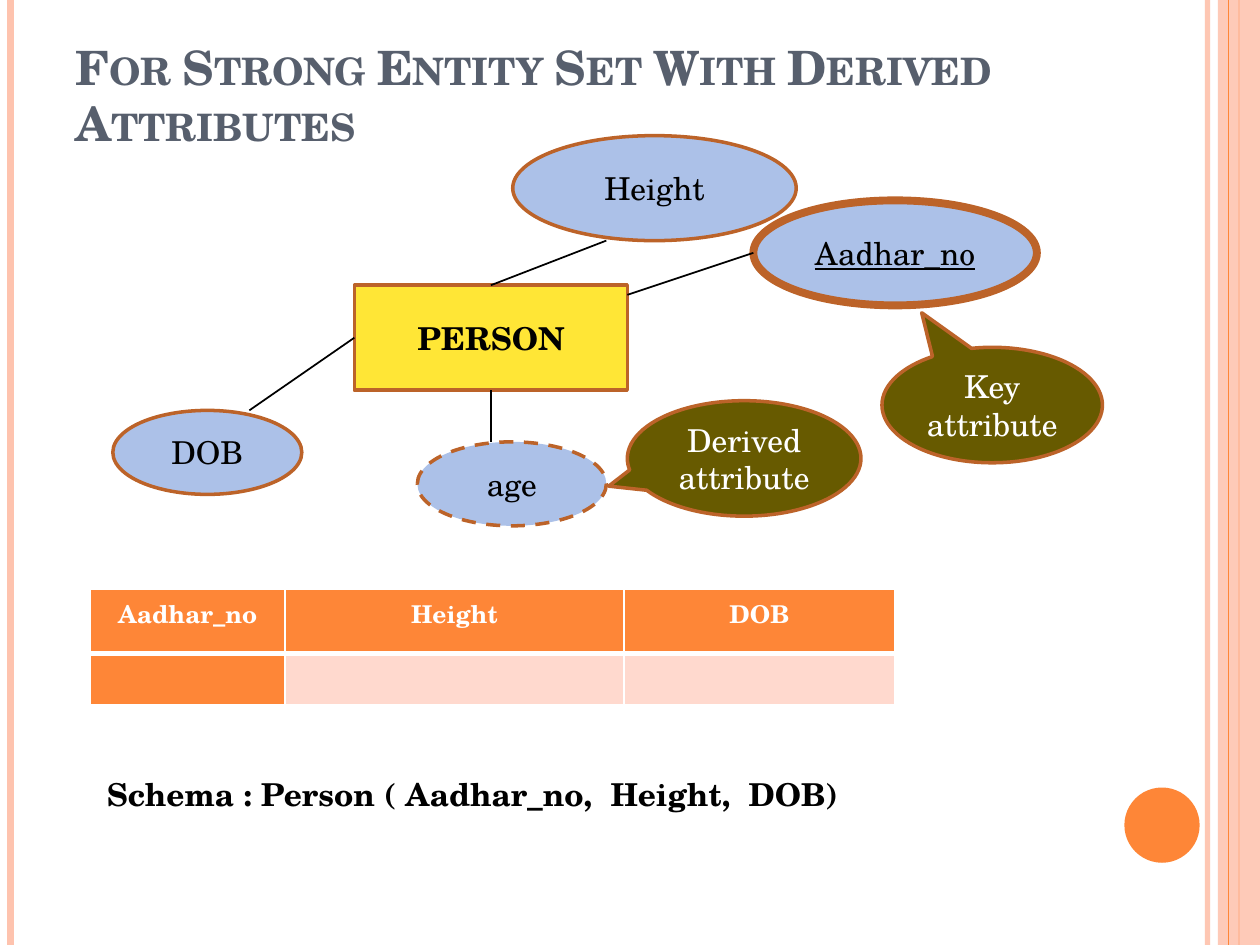
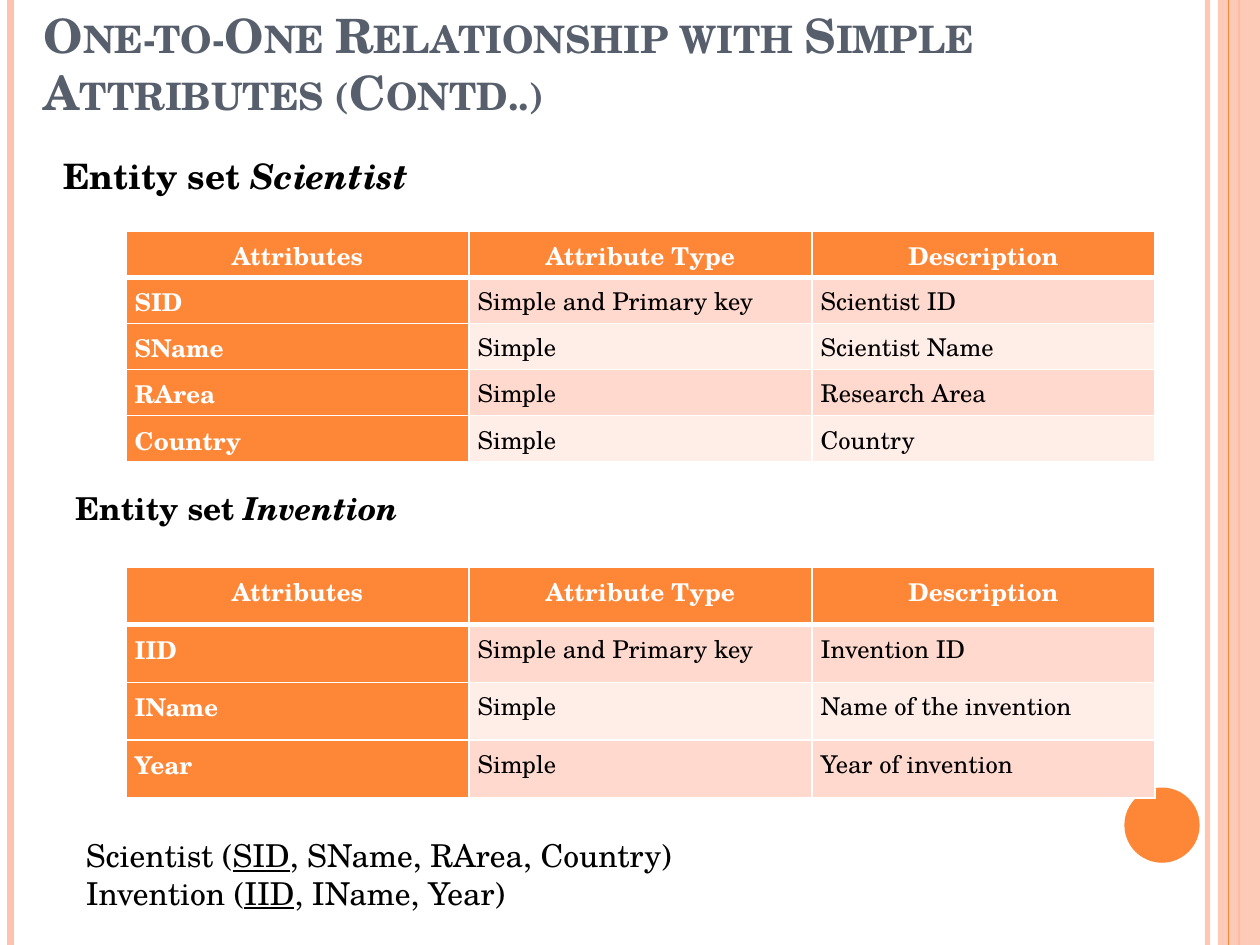
from dataclasses import dataclass

from pptx import Presentation
from pptx.dml.color import RGBColor
from pptx.enum.dml import MSO_LINE
from pptx.enum.shapes import MSO_CONNECTOR as CONN, MSO_SHAPE as SHAPE
from pptx.enum.text import MSO_ANCHOR as ANCHOR, MSO_AUTO_SIZE as AUTO, PP_ALIGN as ALIGN
from pptx.oxml.ns import qn
from pptx.util import Pt
from lxml.etree import SubElement


@dataclass(frozen=True)
class Theme:
    font: str = "TeX Gyre Schola"
    black: str = "000000"
    white: str = "FFFFFF"
    slate: str = "575F6D"
    orange: str = "FE8637"
    peach: str = "FEC3AE"
    band_dark: str = "FFD9CE"
    band_light: str = "FFEDE8"
    outline: str = "BC6329"
    yellow: str = "FFE636"
    blue: str = "ACC1E8"
    olive: str = "675A00"
    title: int = 27
    heading: int = 20
    body: int = 18
    cell: int = 14


THEME = Theme()


def rgb(color):
    return RGBColor.from_string(color)


def write(p, text, size=THEME.body, color=THEME.black, bold=False, italic=False,
          underline=False, small_caps=False):
    r = p.add_run()
    r.text = text
    f = r.font
    f.name, f.size, f.color.rgb = THEME.font, Pt(size), rgb(color)
    f.bold, f.italic, f.underline = bold, italic, underline
    if small_caps:
        r._r.get_or_add_rPr().set("cap", "small")


def set_alpha(element, percent):
    for clr in element.iter(qn("a:srgbClr")):
        SubElement(clr, qn("a:alpha")).set("val", str(percent * 1000))


def set_borders(cell, bottom):
    tcPr = cell._tc.get_or_add_tcPr()
    for side, width in (("L", 1), ("R", 1), ("T", 1), ("B", bottom)):
        ln = SubElement(tcPr, qn(f"a:ln{side}"), w=str(Pt(width)))
        fill = SubElement(ln, qn("a:solidFill"))
        SubElement(fill, qn("a:srgbClr"), val=THEME.white)


class Deck:
    def __init__(self, prs, theme):
        self.prs, self.theme, self.slide = prs, theme, None

    def new_slide(self, title, x, y, w):
        t = self.theme
        self.slide = self.prs.slides.add_slide(self.prs.slide_layouts[6])
        self.rail(690, t.peach, 3, alpha=93)
        self.rail(6, t.peach, 4.5)
        self.rail(708, t.orange, 1.5)
        band = self.shape(SHAPE.RECTANGLE, 696, 0, 24, 540, t.peach)
        set_alpha(band._element.spPr, 87)
        self.rail(702, t.orange, 0.75)
        self.shape(SHAPE.OVAL, 642.5, 450, 43, 43, t.orange)
        box = self.text([[(title, {})]], x, y, w, 68.5, grow=False, size=t.title,
                        color=t.slate, bold=True, small_caps=True)
        box.text_frame.vertical_anchor = ANCHOR.BOTTOM

    def rail(self, x, color, width, alpha=None):
        line = self.line((x, 0), (x, 540), color, width)
        if alpha:
            set_alpha(line._element.spPr, alpha)

    def line(self, start, end, color=THEME.black, width=1):
        c = self.slide.shapes.add_connector(CONN.STRAIGHT, *map(Pt, start + end))
        c.line.color.rgb, c.line.width = rgb(color), Pt(width)
        SubElement(c._element.spPr, qn("a:effectLst"))
        return c

    def shape(self, kind, x, y, w, h, fill, outline=None, width=2, dash=None,
              label=None, adjust=(), **fmt):
        sp = self.slide.shapes.add_shape(kind, Pt(x), Pt(y), Pt(w), Pt(h))
        sp.shadow.inherit = False
        sp.fill.solid()
        sp.fill.fore_color.rgb = rgb(fill)
        if outline:
            sp.line.color.rgb, sp.line.width = rgb(outline), Pt(width)
            if dash:
                sp.line.dash_style = dash
        else:
            sp.line.fill.background()
        for i, value in enumerate(adjust):
            sp.adjustments[i] = value
        if label:
            tf = sp.text_frame
            tf.word_wrap, tf.vertical_anchor = True, ANCHOR.MIDDLE
            p = tf.paragraphs[0]
            p.alignment = ALIGN.CENTER
            write(p, label, **fmt)
        return sp

    def attribute(self, label, x, y, w, h, **style):
        return self.shape(SHAPE.OVAL, x, y, w, h, self.theme.blue,
                          self.theme.outline, label=label, **style)

    def callout(self, label, x, y, w, h, adjust):
        t = self.theme
        return self.shape(SHAPE.OVAL_CALLOUT, x, y, w, h, t.olive, t.outline,
                          label=label, adjust=adjust, color=t.white)

    def text(self, paragraphs, x, y, w, h, wrap=True, grow=True, **fmt):
        box = self.slide.shapes.add_textbox(Pt(x), Pt(y), Pt(w), Pt(h))
        tf = box.text_frame
        tf.word_wrap = wrap
        tf.auto_size = AUTO.SHAPE_TO_FIT_TEXT if grow else AUTO.NONE
        for i, runs in enumerate(paragraphs):
            p = tf.add_paragraph() if i else tf.paragraphs[0]
            for text, extra in runs:
                write(p, text, **{**fmt, **extra})
        return box

    def table(self, rows, x, y, widths, heights, space_after=None):
        t = self.theme
        frame = self.slide.shapes.add_table(len(rows), len(widths), Pt(x), Pt(y),
                                            Pt(sum(widths)), Pt(sum(heights)))
        tbl = frame.table
        tbl.first_col, tbl.horz_banding = True, False
        for col, width in zip(tbl.columns, widths):
            col.width = Pt(width)
        for i, (row, height) in enumerate(zip(rows, heights)):
            tbl.rows[i].height = Pt(height)
            for j, text in enumerate(row):
                cell = tbl.cell(i, j)
                strong = i == 0 or j == 0
                band = t.band_dark if i % 2 else t.band_light
                cell.margin_left = cell.margin_right = Pt(5)
                cell.margin_top = cell.margin_bottom = 0
                set_borders(cell, 1 if i else 3)
                cell.fill.solid()
                cell.fill.fore_color.rgb = rgb(t.orange if strong else band)
                p = cell.text_frame.paragraphs[0]
                p.alignment = ALIGN.JUSTIFY if i else ALIGN.CENTER
                p.line_spacing = 1.15
                if space_after:
                    p.space_after = Pt(space_after)
                if text:
                    write(p, text, size=t.cell, bold=strong,
                          color=t.white if strong else t.black)


def derived_attributes(deck):
    t = deck.theme
    deck.new_slide("For Strong Entity Set With Derived Attributes", 36, 21.5, 588)
    person = deck.shape(SHAPE.RECTANGLE, 202.5, 163, 156, 60, t.yellow, t.outline,
                        label="PERSON", bold=True)
    deck.attribute("Height", 293, 77.5, 162, 60)
    deck.line((346.5, 137.5), (280.5, 163)).end_connect(person, 0)
    deck.attribute("DOB", 64.5, 234.5, 108, 48)
    deck.attribute("age", 238.5, 252.5, 108, 48, dash=MSO_LINE.DASH)
    deck.line((202.5, 193), (142.5, 234.5)).begin_connect(person, 1)
    deck.callout("Derived attribute", 358.5, 229, 133.5, 66, (-0.58, 0.24))
    deck.attribute("Aadhar_no", 430.5, 114.5, 162, 60, width=4.5, underline=True)
    deck.line((430.5, 144.5), (358.5, 168.5))
    deck.callout("Key attribute", 504, 198.5, 126, 66, (-0.32, -0.8))
    deck.line((280.5, 223), (280.5, 252.5)).begin_connect(person, 2)
    deck.text([[("Schema : Person ( Aadhar_no,  Height,  DOB)", {})]],
              54, 439.5, 570, 29, bold=True)
    deck.table([("Aadhar_no", "Height", "DOB"), ("", "", "")],
               51.5, 336.5, (111.5, 193.5, 155), (37, 29))


def one_to_one(deck):
    deck.new_slide("One-to-One Relationship with Simple Attributes (Contd..)", 18, 3.5, 666)
    header = ("Attributes", "Attribute Type", "Description")
    key, simple = "Simple and Primary key", "Simple"
    scientist = [header, ("SID", key, "Scientist ID"), ("SName", simple, "Scientist Name"),
                 ("RArea", simple, "Research Area"), ("Country", simple, "Country")]
    invention = [header, ("IID", key, "Invention ID"),
                 ("IName", simple, "Name of the invention"),
                 ("Year", simple, "Year of invention")]
    entity_sets = (
        ("Scientist", deck.theme.heading, (29, 85, 213, 31.5), scientist, 132),
        ("Invention", deck.theme.body, (36, 276, 201.5, 29), invention, 324),
    )
    for name, size, place, rows, top in entity_sets:
        deck.text([[("Entity set ", {}), (name, {"italic": True})]], *place,
                  wrap=False, size=size, bold=True)
        deck.table(rows, 72, top, [196] * 3, [132 / len(rows)] * len(rows), space_after=6)
    underlined = {"underline": True}
    deck.text([
        [("Scientist (", {}), ("SID", underlined), (", SName, RArea, Country)", {})],
        [("Invention (", {}), ("IID", underlined), (", IName, Year)", {})],
    ], 42, 474, 360, 51)


def main():
    prs = Presentation()
    prs.slide_width, prs.slide_height = Pt(720), Pt(540)
    deck = Deck(prs, THEME)
    derived_attributes(deck)
    one_to_one(deck)
    prs.save("out.pptx")


if __name__ == "__main__":
    main()
